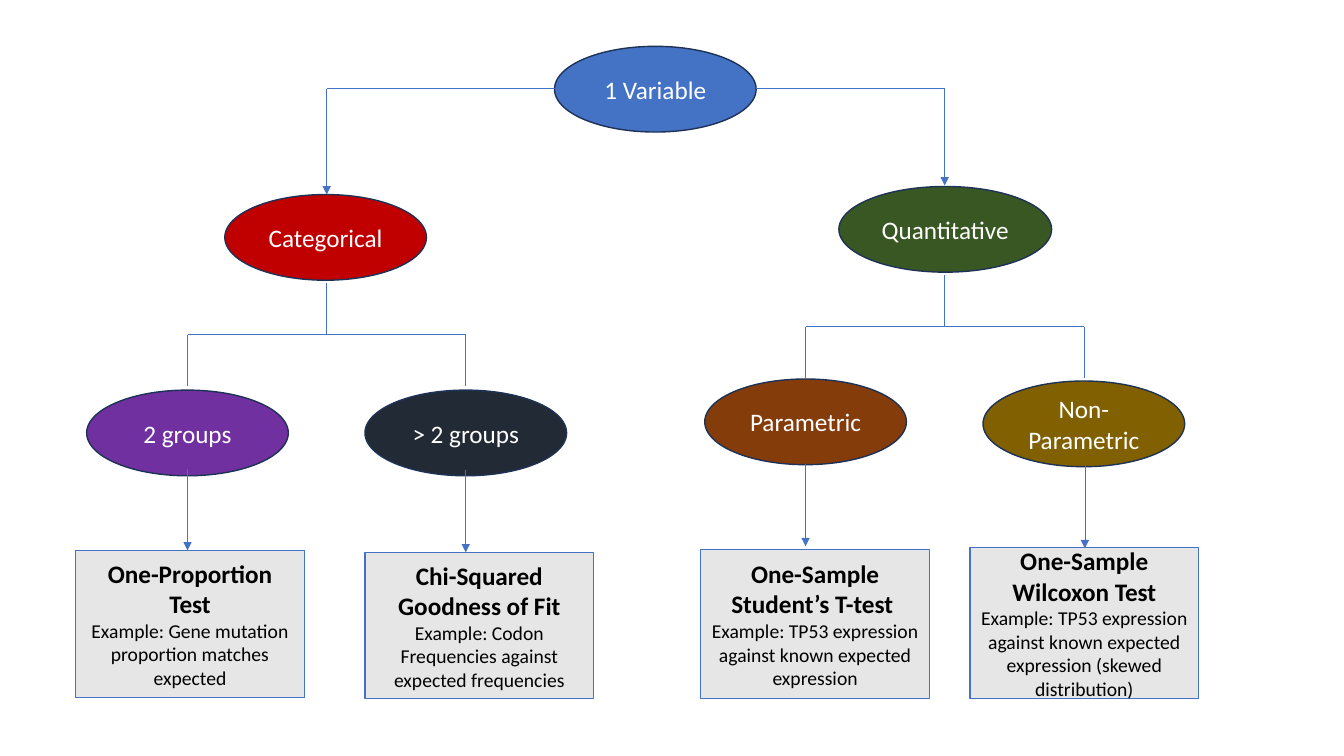
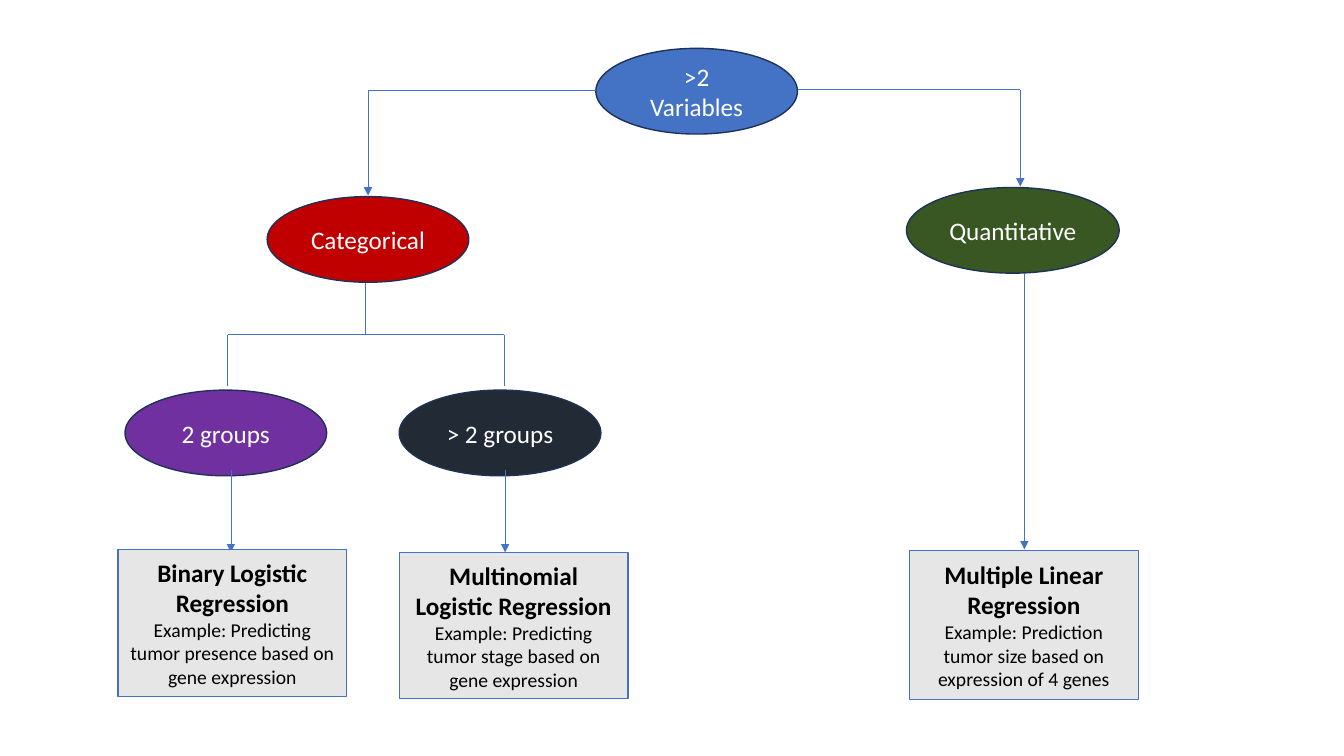
import pptx
import pptx.util
import pptx.dml.color
import pptx.enum.shapes
import pptx.enum.text
import pptx.oxml
import pptx.oxml.ns

SCALE = 9144  # EMU per px, 100 px to the inch
FONT = "Calibri"
BLUE = "4472C4"
NAVY = "1E3256"
GREY = "E7E6E6"
RED = "C00000"
GREEN = "385723"
PURPLE = "7030A0"
SLATE = "222A35"
BROWN = "843C0B"
OLIVE = "806000"
SHAPE = pptx.enum.shapes.MSO_SHAPE


def px(*sizes):
    return [pptx.util.Emu(size * SCALE) for size in sizes]


def paint(target, color):
    target.rgb = pptx.dml.color.RGBColor.from_string(color)


def block(slide, kind, area, fill, edge, texts, color):
    """Add a filled shape; texts holds (words, size, bold) per paragraph."""
    shape = slide.shapes.add_shape(kind, *px(*area))
    shape.shadow.inherit = False
    shape.fill.solid()
    paint(shape.fill.fore_color, fill)
    paint(shape.line.color, edge)
    shape.line.width = pptx.util.Pt(1)
    frame = shape.text_frame
    frame.word_wrap = True
    frame.vertical_anchor = pptx.enum.text.MSO_ANCHOR.MIDDLE
    frame.text = "\n".join(words for words, _, _ in texts)
    for para, (_, size, bold) in zip(frame.paragraphs, texts):
        para.alignment = pptx.enum.text.PP_ALIGN.CENTER
        for run in para.runs:
            run.font.name = FONT
            run.font.size = pptx.util.Pt(size)
            run.font.bold = bold
            paint(run.font.color, color)


def node(slide, text, x, y, fill, width=200):
    block(slide, SHAPE.OVAL, (x, y, width, 85), fill, NAVY,
          [(text, 18, False)], "FFFFFF")


def test(slide, title, sample, x, y, height):
    """Add the box that names a test and gives an example."""
    block(slide, SHAPE.RECTANGLE, (x, y, 227, height), GREY, BLUE,
          [(title, 18, True), ("Example: " + sample, 14, False)], "000000")


def line(slide, x1, y1, x2, y2, arrow=False):
    kind = pptx.enum.shapes.MSO_CONNECTOR.STRAIGHT
    link = slide.shapes.add_connector(kind, *px(x1, y1, x2, y2))
    paint(link.line.color, BLUE)
    link.line.width = pptx.util.Pt(0.5)
    props = link.line._get_or_add_ln()
    if arrow:
        tail = pptx.oxml.parse_xml(
            "<a:tailEnd %s type='triangle'/>" % pptx.oxml.ns.nsdecls("a"))
        props.append(tail)
    props.addnext(pptx.oxml.parse_xml(
        "<a:effectLst %s/>" % pptx.oxml.ns.nsdecls("a")))


def elbow(slide, x1, y1, x2, y2):
    """Run sideways, then down to an arrowhead."""
    line(slide, x1, y1, x2, y1)
    line(slide, x2, y1, x2, y2, True)


def fork(slide, x, y, left, right, step=51):
    """Split one stem into two legs of the same length."""
    bar = y + step
    line(slide, x, y, x, bar)
    line(slide, left, bar, right, bar)
    for leg in (left, right):
        line(slide, leg, bar, leg, bar + step)


def single(slide):
    node(slide, "1 Variable", 550, 46, BLUE)
    elbow(slide, 550, 88, 324, 193)
    elbow(slide, 750, 88, 937, 184)
    node(slide, "Categorical", 223, 193, RED)
    node(slide, "Quantitative", 832, 185, GREEN, 211)
    fork(slide, 324, 281, 186, 462)
    fork(slide, 937, 273, 799, 1075)
    node(slide, "2 groups", 86, 387, PURPLE)
    node(slide, "> 2 groups", 362, 387, SLATE)
    node(slide, "Parametric", 699, 376, BROWN)
    node(slide, "Non-Parametric", 975, 378, OLIVE)
    for x, top, end in ((186, 465, 546), (462, 466, 548),
                        (799, 460, 542), (1076, 462, 544)):
        line(slide, x, top, x, end, True)
    test(slide, "One-Proportion Test",
         "Gene mutation proportion matches expected", 75, 546, 146)
    test(slide, "Chi-Squared Goodness of Fit",
         "Codon Frequencies against expected frequencies", 362, 548, 145)
    known = "TP53 expression against known expected expression"
    test(slide, "One-Sample Student’s T-test ", known, 695, 545, 148)
    test(slide, "One-Sample Wilcoxon Test",
         known + " (skewed distribution)", 962, 543, 150)


def multiple(slide):
    node(slide, ">2 Variables", 591, 48, BLUE)
    elbow(slide, 591, 90, 365, 194)
    elbow(slide, 791, 89, 1012, 185)
    node(slide, "Categorical", 265, 195, RED)
    node(slide, "Quantitative", 899, 186, GREEN, 211)
    fork(slide, 362, 281, 226, 500)
    node(slide, "2 groups", 124, 387, PURPLE)
    node(slide, "> 2 groups", 396, 387, SLATE)
    for x, top, end in ((229, 466, 548), (501, 466, 548), (1016, 271, 545)):
        line(slide, x, top, x, end, True)
    for title, sample, x, y, height in (
            ("Binary Logistic Regression",
             "Predicting tumor presence based on gene expression",
             117, 545, 146),
            ("Multinomial Logistic Regression",
             "Predicting tumor stage based on gene expression",
             396, 548, 145),
            ("Multiple Linear Regression",
             "Prediction tumor size based on expression of 4 genes",
             902, 546, 148)):
        test(slide, title, sample, x, y, height)


def main():
    deck = pptx.Presentation()
    deck.slide_width, deck.slide_height = px(1333, 750)
    blank = deck.slide_layouts.get_by_name("Blank")
    for draw in (single, multiple):
        draw(deck.slides.add_slide(blank))
    deck.save("out.pptx")


if __name__ == "__main__":
    main()
